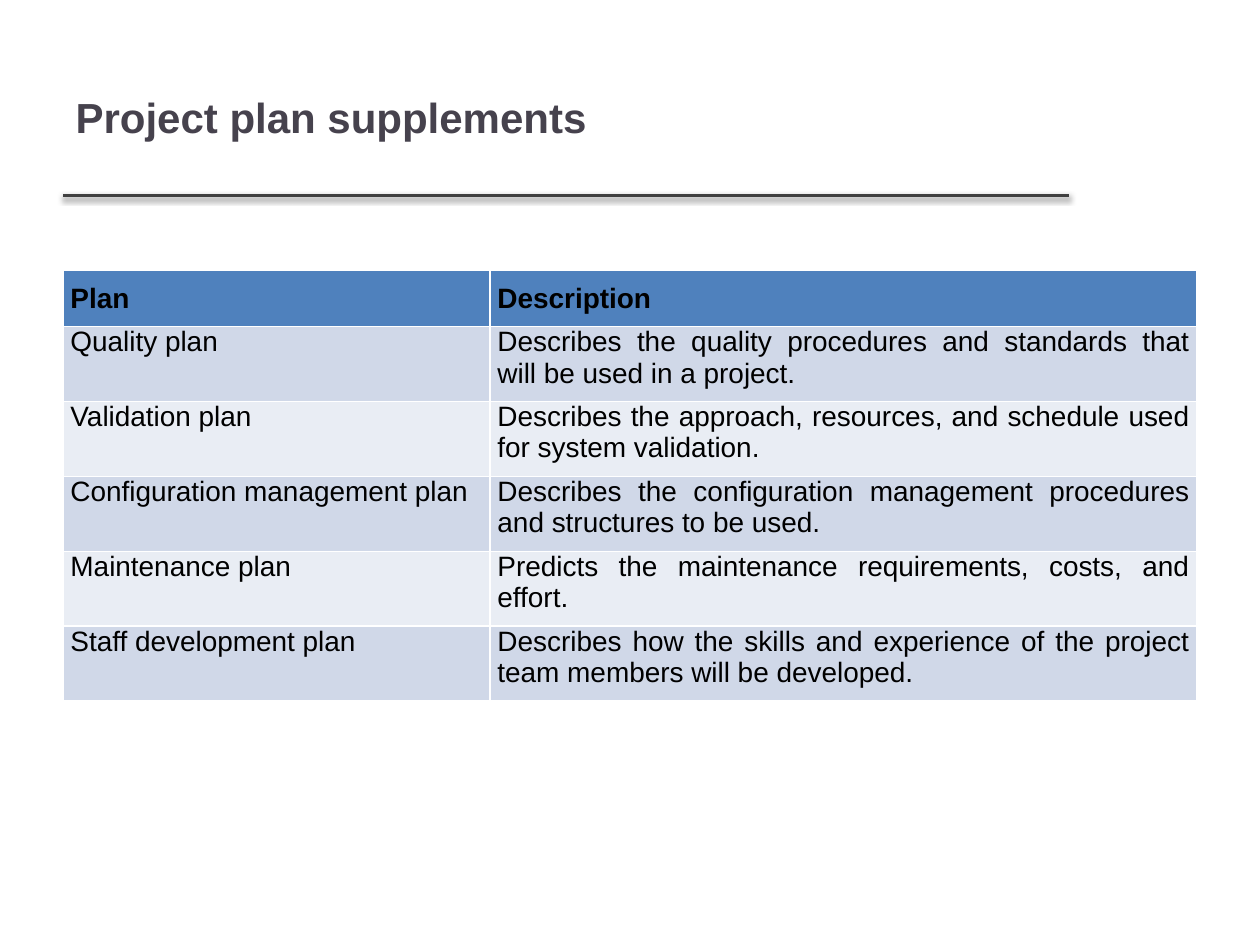
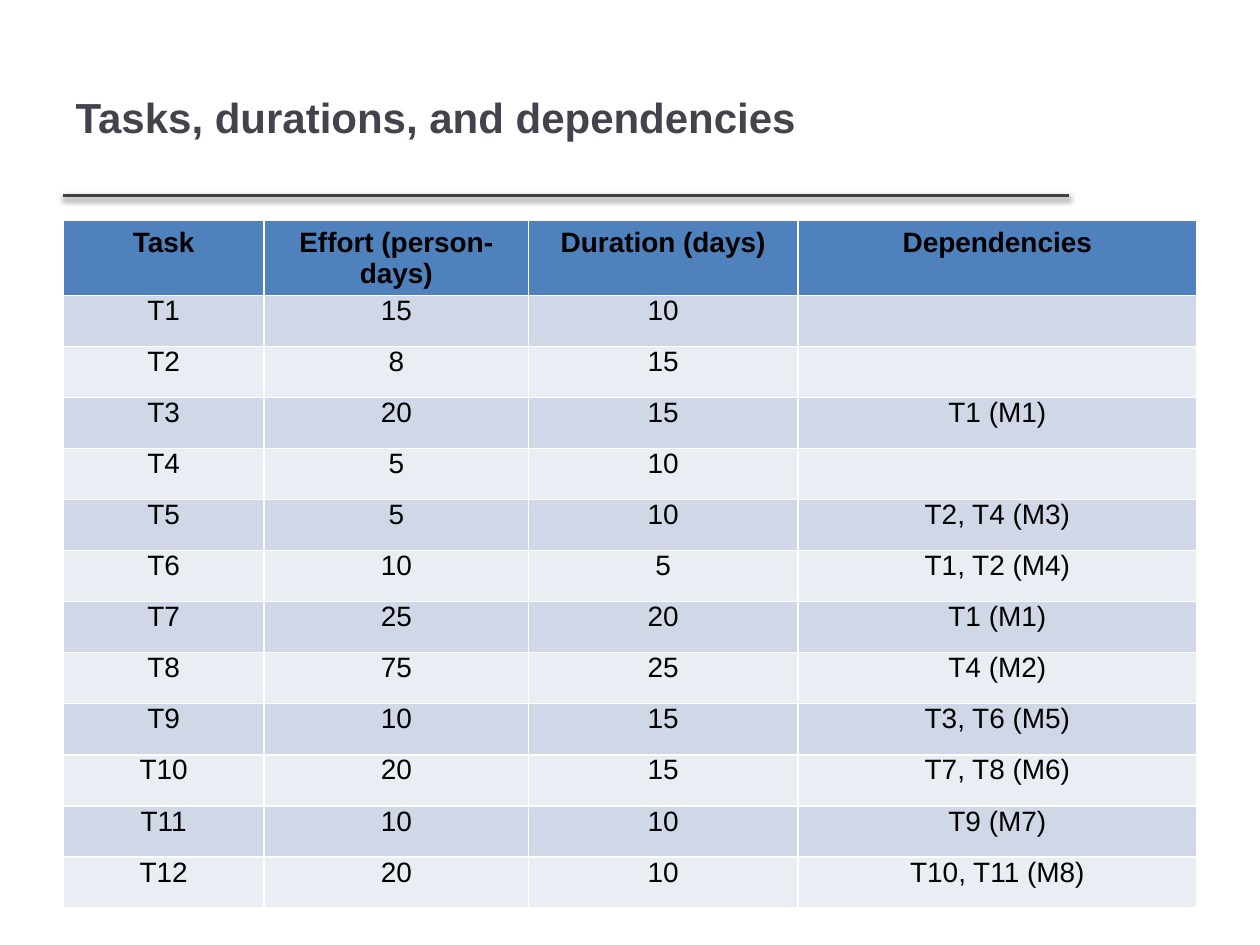
import lxml.etree
import pptx
import pptx.dml.color
import pptx.enum.shapes
import pptx.enum.text
import pptx.oxml
import pptx.oxml.ns
import pptx.util

Pt = pptx.util.Pt
RGBColor = pptx.dml.color.RGBColor
ALIGN = pptx.enum.text.PP_ALIGN

FONT = "Arial"
TITLE_COLOR = RGBColor(0x46, 0x42, 0x4D)
RULE_COLOR = RGBColor(0x40, 0x40, 0x40)
TEXT_COLOR = RGBColor(0x00, 0x00, 0x00)
HEADER_FILL = RGBColor(0x4F, 0x81, 0xBD)
BAND_FILLS = (RGBColor(0xD0, 0xD8, 0xE8), RGBColor(0xE9, 0xED, 0xF4))

# Boxes are left, top, width, height in points.
TITLE_BOX = (36, 21.6, 575, 90)
PLANS_BOX = (36, 154.5, 648, 245)
TASKS_BOX = (36, 126, 648, 392.7)

PLANS = [
    ("Plan", "Description"),
    ("Quality plan",
     "Describes the quality procedures and standards that will be used in a project."),
    ("Validation plan",
     "Describes the approach, resources, and schedule used for system validation."),
    ("Configuration management plan",
     "Describes the configuration management procedures and structures to be used."),
    ("Maintenance plan",
     "Predicts the maintenance requirements, costs, and effort."),
    ("Staff development plan",
     "Describes how the skills and experience of the project team members will be developed."),
]

TASKS = [
    ("Task", "Effort (person-days)", "Duration (days)", "Dependencies"),
    ("T1", "15", "10", ""),
    ("T2", "8", "15", ""),
    ("T3", "20", "15", "T1 (M1)"),
    ("T4", "5", "10", ""),
    ("T5", "5", "10", "T2, T4 (M3)"),
    ("T6", "10", "5", "T1, T2 (M4)"),
    ("T7", "25", "20", "T1 (M1)"),
    ("T8", "75", "25", "T4 (M2)"),
    ("T9", "10", "15", "T3, T6 (M5)"),
    ("T10", "20", "15", "T7, T8 (M6)"),
    ("T11", "10", "10", "T9 (M7)"),
    ("T12", "20", "10", "T10, T11 (M8)"),
]


def format_paragraph(paragraph, size, color, bold, alignment):
    """Set the font and alignment of a paragraph and its runs."""
    paragraph.alignment = alignment
    for font in [paragraph.font] + [run.font for run in paragraph.runs]:
        font.name = FONT
        font.size = Pt(size)
        font.bold = bold
        font.color.rgb = color


def add_shadow(connector):
    """Give a connector a soft shadow that falls straight down."""
    effects = pptx.oxml.parse_xml(
        f'<a:effectLst {pptx.oxml.ns.nsdecls("a")}>'
        f'<a:outerShdw blurRad="{Pt(3.1)}" dist="{Pt(1.6)}" dir="5400000" rotWithShape="0">'
        '<a:srgbClr val="000000"><a:alpha val="38000"/></a:srgbClr>'
        '</a:outerShdw></a:effectLst>')
    connector.element.spPr.append(effects)


def add_title_rule(slide, box):
    """Draw the rule below the title box, on the layout the slides share."""
    left, top, width, height = box
    rule = slide.shapes.add_connector(
        pptx.enum.shapes.MSO_CONNECTOR.STRAIGHT,
        Pt(left), Pt(top + height), Pt(left + width), Pt(top + height))
    rule.line.color.rgb = RULE_COLOR
    rule.line.width = Pt(2)
    add_shadow(rule)
    slide.slide_layout.shapes.element.append(rule.element)


def add_title(slide, text, box):
    """Fill and place the title placeholder."""
    title = slide.shapes.title
    title.left, title.top, title.width, title.height = map(Pt, box)
    frame = title.text_frame
    frame.text = text
    frame.vertical_anchor = pptx.enum.text.MSO_ANCHOR.MIDDLE
    format_paragraph(frame.paragraphs[0], 24, TITLE_COLOR, True, ALIGN.LEFT)


def add_banded_table(slide, rows, box, column_widths, header_height, padding, alignments):
    """Add a table with a header row and equal, banded body rows."""
    left, top, width, height = box
    table = slide.shapes.add_table(
        len(rows), len(column_widths), Pt(left), Pt(top), Pt(width), Pt(height)).table
    for column, column_width in zip(table.columns, column_widths):
        column.width = Pt(column_width)
    body_height = (height - header_height) / (len(rows) - 1)
    for index, values in enumerate(rows):
        is_header = index == 0
        table.rows[index].height = Pt(header_height if is_header else body_height)
        for cell, value, alignment in zip(table.rows[index].cells, values, alignments):
            cell.fill.solid()
            cell.fill.fore_color.rgb = HEADER_FILL if is_header else BAND_FILLS[(index - 1) % 2]
            cell.margin_left = cell.margin_right = Pt(4.3)
            cell.margin_top = Pt(padding if is_header else 0)
            cell.margin_bottom = Pt(padding)
            cell.text_frame.text = value
            format_paragraph(cell.text_frame.paragraphs[0], 16, TEXT_COLOR, is_header, alignment)


def add_titled_slide(presentation, title):
    """Add a slide that holds only a title."""
    slide = presentation.slides.add_slide(presentation.slide_layouts.get_by_name("Title Only"))
    add_title(slide, title, TITLE_BOX)
    return slide


def build_plans_slide(presentation):
    """Add the slide on the supplements to a project plan."""
    slide = add_titled_slide(presentation, "Project plan supplements")
    add_banded_table(slide, PLANS, PLANS_BOX, (244, 404), 31, 7.2, (ALIGN.LEFT, ALIGN.JUSTIFY))
    return slide


def build_tasks_slide(presentation):
    """Add the slide on tasks and what they depend on."""
    slide = add_titled_slide(presentation, "Tasks, durations, and dependencies")
    add_banded_table(slide, TASKS, TASKS_BOX, (115, 151, 154, 228), 42.5, 3.6,
                     (ALIGN.CENTER,) * 4)
    return slide


def main():
    """Build and save the presentation."""
    presentation = pptx.Presentation()
    presentation.slide_width = Pt(720)
    presentation.slide_height = Pt(540)
    plans_slide = build_plans_slide(presentation)
    add_title_rule(plans_slide, TITLE_BOX)
    build_tasks_slide(presentation)
    presentation.save("out.pptx")


main()
